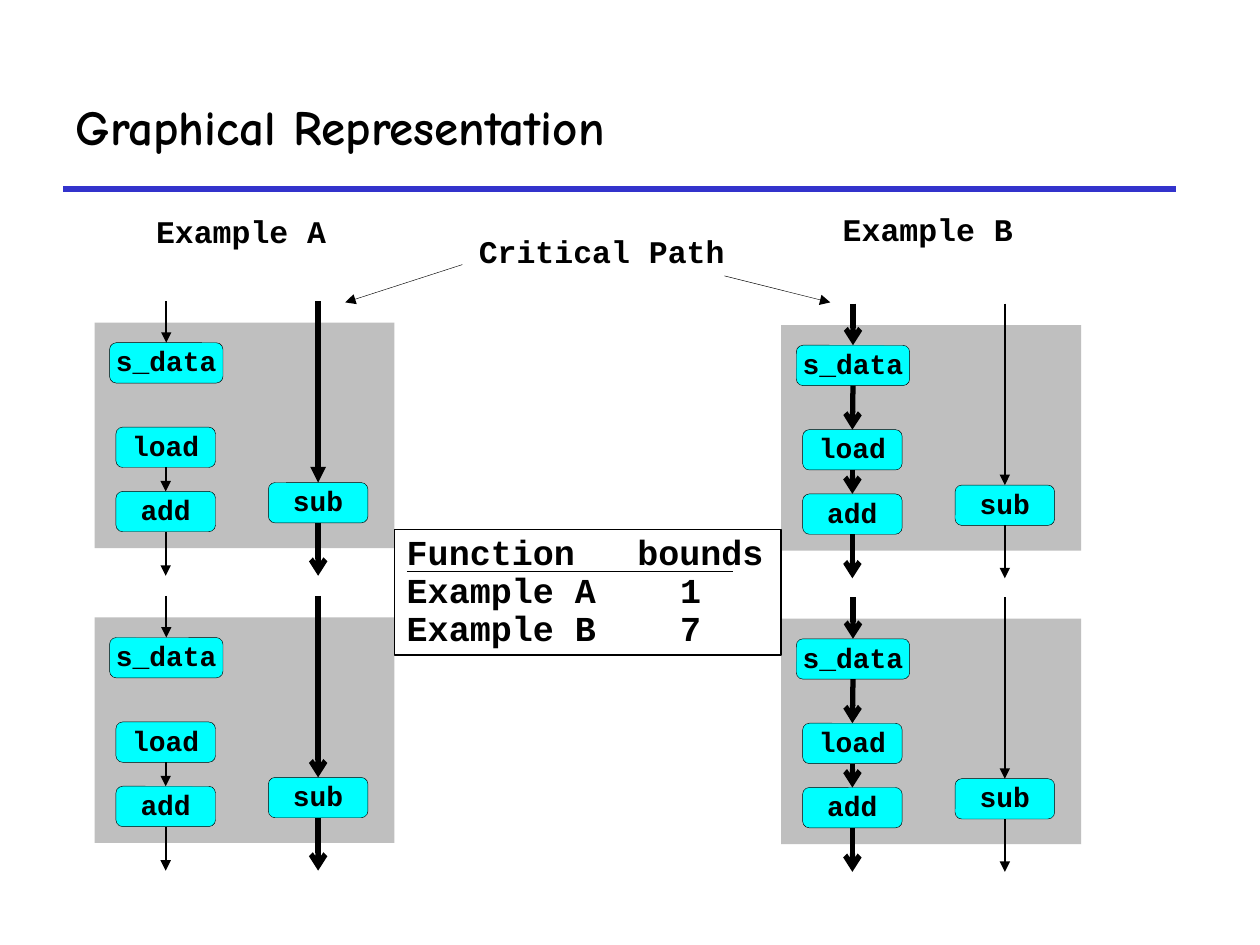
from dataclasses import dataclass

from lxml.etree import SubElement
from pptx import Presentation
from pptx.dml.color import RGBColor
from pptx.enum.shapes import MSO_CONNECTOR as Conn, MSO_SHAPE as Shape
from pptx.enum.text import MSO_ANCHOR as Anchor, PP_ALIGN as Align
from pptx.oxml.ns import qn
from pptx.util import Inches, Pt


@dataclass(frozen=True)
class Theme:
    ink: str = "000000"
    paper: str = "FFFFFF"
    rule: str = "3333CC"
    panel: str = "BFBFBF"
    node: str = "00FFFF"
    title_font: str = "Comic Neue"
    code_font: str = "Courier New"
    title_size: int = 28
    label_size: int = 18
    node_size: int = 16
    table_size: int = 20
    hair: float = 0.25
    thin: float = 1
    thick: float = 3


T = Theme()

TITLE = "Graphical Representation"
LABELS = [  # text, left, top, width, alignment
    ("Example A", 1.14, 1.67, 1.6, Align.LEFT),
    ("Example B", 6.59, 1.65, 1.6, Align.LEFT),
    ("Critical Path", 3.39, 1.83, 2.77, Align.CENTER),
]
POINTERS = [(3.67, 2.1, 2.74, 2.4), (5.75, 2.19, 6.59, 2.4)]
BOUNDS = [  # name, value, tab position of the value
    ("Function", "bounds", 1.83),
    ("Example A", "1", 2.17),
    ("Example B", "7", 2.17),
]

# One loop iteration; positions are relative to its grey panel
PANEL_W, PANEL_H, NODE_H = 2.38, 1.79, 0.32
ENTRY_Y, EXIT_Y = -0.17, 2.01
NODES = {  # name: left, top, width
    "sub": (1.38, 1.27, 0.79),
    "add": (0.17, 1.34, 0.79),
    "load": (0.17, 0.83, 0.79),
    "s_data": (0.12, 0.16, 0.9),
}
DATA_FLOW = [(None, "s_data"), ("load", "add"), ("add", None)]
COUNT_FLOW = [(None, "sub"), ("sub", None)]
CARRIED = ("s_data", "load")
ITERATIONS = [  # left, top, critical chain, head of the arrow into sub
    (0.75, 2.56, "count", "triangle"),
    (0.75, 4.9, "count", "arrow"),
    (6.2, 2.58, "data", "triangle"),
    (6.2, 4.91, "data", "triangle"),
]


def rgb(value):
    return RGBColor.from_string(value)


def write(tf, *lines, size, font=T.code_font, align=Align.LEFT,
          anchor=Anchor.TOP, insets=(0.1, 0.05), spacing=0.9, wrap=True):
    tf.word_wrap = wrap
    tf.vertical_anchor = anchor
    tf.margin_left = tf.margin_right = Inches(insets[0])
    tf.margin_top = tf.margin_bottom = Inches(insets[1])
    for i, line in enumerate(lines):
        p = tf.add_paragraph() if i else tf.paragraphs[0]
        p.alignment, p.line_spacing = align, spacing
        r = p.add_run()
        r.text = line
        r.font.name, r.font.size, r.font.bold = font, Pt(size), True
        r.font.color.rgb = rgb(T.ink)


def add_box(shapes, kind, x, y, w, h, fill, line=None):
    s = shapes.add_shape(kind, Inches(x), Inches(y), Inches(w), Inches(h))
    s.shadow.inherit = False
    s.fill.solid()
    s.fill.fore_color.rgb = rgb(fill)
    if line:
        s.line.color.rgb = rgb(T.ink)
        s.line.width = Pt(line)
    else:
        s.line.fill.background()
    return s


def add_line(shapes, x1, y1, x2, y2, width, color=T.ink, head=None):
    c = shapes.add_connector(Conn.STRAIGHT, *map(Inches, (x1, y1, x2, y2)))
    c.line.color.rgb = rgb(color)
    c.line.width = Pt(width)
    if head:
        SubElement(c.line._get_or_add_ln(), qn("a:tailEnd"), type=head)
    SubElement(c._element.spPr, qn("a:effectLst"))
    return c


def add_iteration(shapes, left, top, critical, sub_head):
    add_box(shapes, Shape.RECTANGLE, left, top, PANEL_W, PANEL_H, T.panel)
    nodes = {}
    for name, (x, y, w) in NODES.items():
        s = add_box(shapes, Shape.ROUNDED_RECTANGLE, left + x, top + y,
                    w, NODE_H, T.node, T.hair)
        write(s.text_frame, name, size=T.node_size, align=Align.CENTER,
              anchor=Anchor.MIDDLE, insets=(0, 0), wrap=False)
        nodes[name] = s

    data = DATA_FLOW + ([CARRIED] if critical == "data" else [])
    for chain, flow in (("data", data), ("count", COUNT_FLOW)):
        width = T.thick if chain == critical else T.thin
        for start, end in flow:
            head = "arrow" if chain == critical else "triangle"
            if end == "sub":
                head = sub_head
            x, _, w = NODES[start or end]
            middle = left + x + w / 2
            y1 = NODES[start][1] + NODE_H if start else ENTRY_Y
            y2 = NODES[end][1] if end else EXIT_Y
            c = add_line(shapes, middle, top + y1, middle, top + y2,
                         width, head=head)
            if start:
                c.begin_connect(nodes[start], 2)
            if end:
                c.end_connect(nodes[end], 0)


def add_bounds(shapes):
    group = shapes.add_group_shape().shapes
    s = add_box(group, Shape.RECTANGLE, 3.13, 4.2, 3.07, 1, T.paper, 0.75)
    write(s.text_frame, *(f"{name}\t{value}" for name, value, _ in BOUNDS),
          size=T.table_size)
    for p, (_, _, tab) in zip(s.text_frame.paragraphs, BOUNDS):
        tabs = SubElement(p._p.get_or_add_pPr(), qn("a:tabLst"))
        SubElement(tabs, qn("a:tab"), pos=str(Inches(tab)), algn="l")
    add_line(group, 3.23, 4.53, 5.82, 4.53, T.hair)


def main():
    prs = Presentation()
    prs.slide_width, prs.slide_height = Inches(10), Inches(7.5)
    slide = prs.slides.add_slide(prs.slide_layouts[5])
    shapes = slide.shapes

    add_line(shapes, 0.5, 1.5, 9.33, 1.5, T.thick, T.rule)
    title = shapes.title
    title.left, title.top = Inches(0.5), Inches(0.5)
    title.width, title.height = Inches(8.83), Inches(1)
    write(title.text_frame, TITLE, size=T.title_size, font=T.title_font,
          anchor=Anchor.MIDDLE, spacing=1.0)

    for iteration in ITERATIONS:
        add_iteration(shapes, *iteration)
    for text, x, y, w, align in LABELS:
        sp = shapes.add_textbox(Inches(x), Inches(y), Inches(w), Inches(0.37))
        write(sp.text_frame, text, size=T.label_size, align=align)
    for ends in POINTERS:
        add_line(shapes, *ends, T.hair, head="triangle")
    add_bounds(shapes)

    prs.save("out.pptx")


if __name__ == "__main__":
    main()
